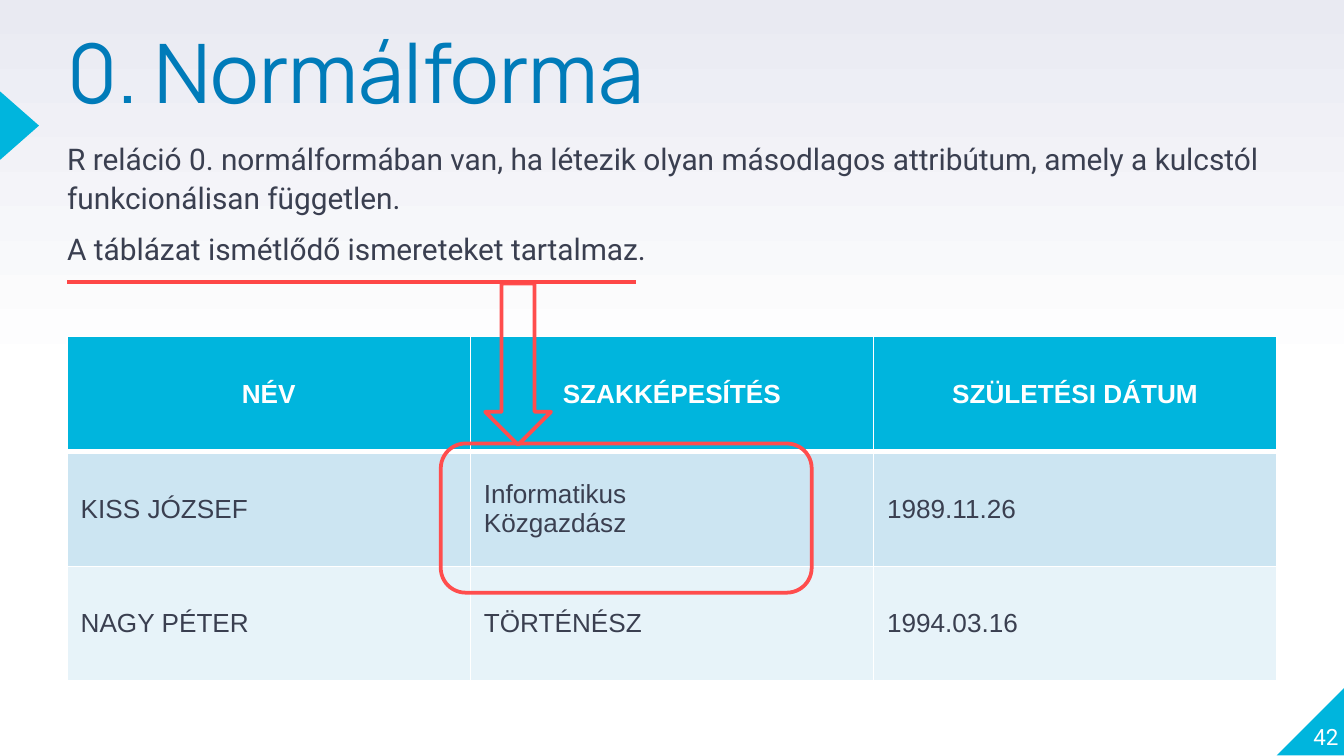
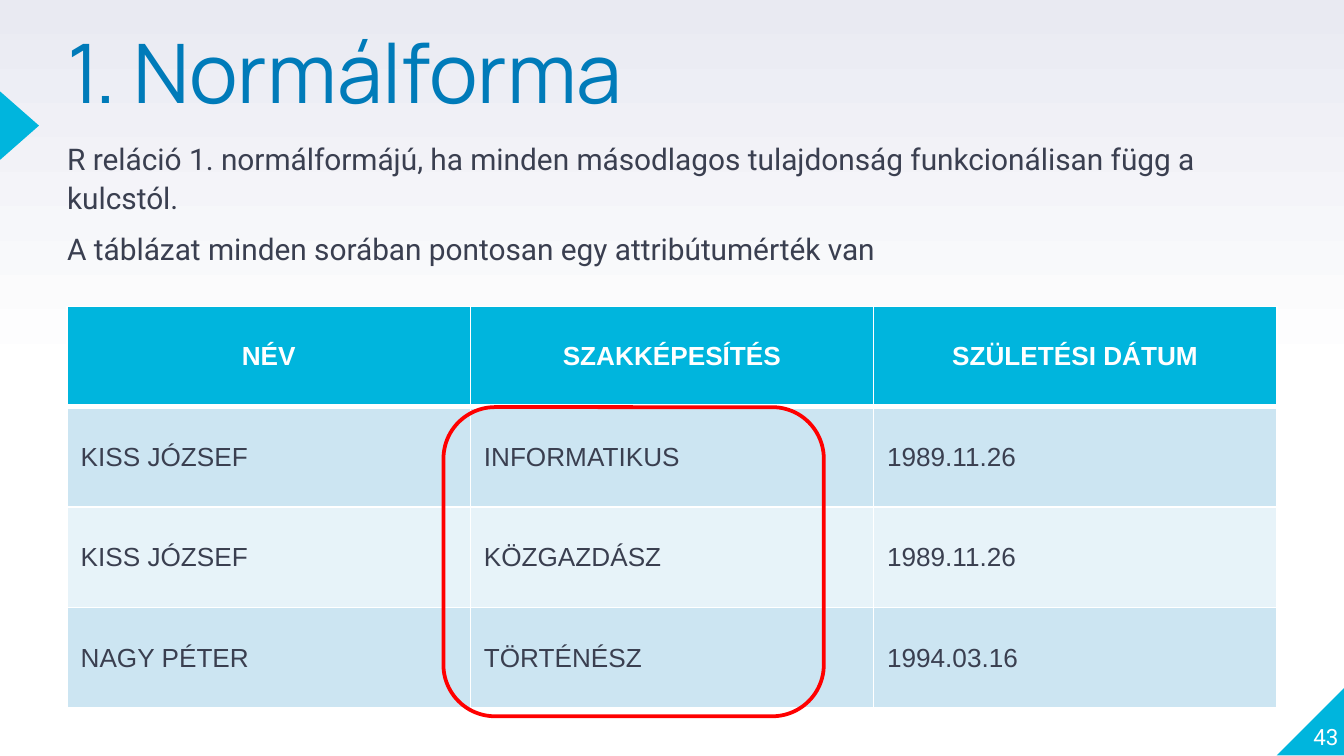
import dataclasses
import copy
import lxml.etree
import pptx
import pptx.dml.color
import pptx.enum.shapes
import pptx.enum.text
import pptx.oxml.ns
import pptx.util

PX = 4572
SHAPE = pptx.enum.shapes.MSO_SHAPE
ALIGN = pptx.enum.text.PP_ALIGN
ANCHOR = pptx.enum.text.MSO_ANCHOR
qn = pptx.oxml.ns.qn


@dataclasses.dataclass(frozen=True)
class Theme:
    title: str = "007BB9"
    accent: str = "00B5DD"
    ink: str = "3A3F50"
    white: str = "FFFFFF"
    sky: str = "E9EAF2"
    bands: tuple = ("CCE5F2", "E7F3F9")
    coral: str = "FF4D4D"
    rule: str = "FE4747"
    red: str = "FF0000"
    head_font: str = "Manrope"
    body_font: str = "Roboto"
    cell_font: str = "Arial"
    title_size: int = 44
    body_size: int = 16
    cell_size: int = 14
    page_size: int = 12


THEME = Theme()
HEADER = ("NÉV", "SZAKKÉPESÍTÉS", "SZÜLETÉSI DÁTUM")

SLIDES = [
    {
        "title": "0. Normálforma",
        "page": "42",
        "body": [
            "R reláció 0. normálformában van, ha létezik olyan másodlagos attribútum, amely a kulcstól funkcionálisan független.",
            "A táblázat ismétlődő ismereteket tartalmaz.",
        ],
        "rows": [
            ("KISS JÓZSEF", "Informatikus\nKözgazdász", "1989.11.26"),
            ("NAGY PÉTER", "TÖRTÉNÉSZ", "1994.03.16"),
        ],
        "table": (100, 501, 1800, 513),
        "marks": [
            (SHAPE.ROUNDED_RECTANGLE, (656, 660, 552, 222), THEME.coral),
            (SHAPE.DOWN_ARROW, (722, 422, 98, 240), THEME.coral),
        ],
        "rules": [((100, 420), (946, 420))],
    },
    {
        "title": "1. Normálforma",
        "page": "43",
        "body": [
            "R reláció 1. normálformájú, ha minden másodlagos tulajdonság funkcionálisan függ a kulcstól.",
            "A táblázat minden sorában pontosan egy attribútumérték van",
        ],
        "rows": [
            ("KISS JÓZSEF", "INFORMATIKUS", "1989.11.26"),
            ("KISS JÓZSEF", "KÖZGAZDÁSZ", "1989.11.26"),
            ("NAGY PÉTER", "TÖRTÉNÉSZ", "1994.03.16"),
        ],
        "table": (100, 456, 1800, 598),
        "marks": [(SHAPE.ROUNDED_RECTANGLE, (660, 606, 566, 460), THEME.red)],
        "rules": [],
    },
]


def emu(box):
    return [round(n * PX) for n in box]


def rgb(code):
    return pptx.dml.color.RGBColor.from_string(code)


def style(para, face, size, color, align=ALIGN.LEFT, bold=False):
    para.alignment = align
    font = para.font
    font.name, font.size, font.bold = face, pptx.util.Pt(size), bold
    font.color.rgb = rgb(color)


def fit(frame, anchor=ANCHOR.TOP):
    frame.word_wrap = True
    frame.auto_size = pptx.enum.text.MSO_AUTO_SIZE.NONE
    frame.vertical_anchor = anchor
    frame.margin_left = frame.margin_right = 0
    frame.margin_top = frame.margin_bottom = 0


def paint(master):
    fill = master.background.fill
    fill.gradient()
    fill.gradient_angle = 90
    first, last = fill.gradient_stops
    first.color.rgb, first.position = rgb(THEME.white), 0
    last.color.rgb, last.position = rgb(THEME.sky), 1
    stop = master.element.find(".//" + qn("p:bg")).find(".//" + qn("a:gs"))
    mid = copy.deepcopy(stop)
    mid.set("pos", "50000")
    stop.addnext(mid)


def add_shape(slide, kind, box, fill=None, line=None):
    shape = slide.shapes.add_shape(kind, *emu(box))
    shape.shadow.inherit = False
    if fill:
        shape.fill.solid()
        shape.fill.fore_color.rgb = rgb(fill)
    else:
        shape.fill.background()
    if line:
        shape.line.color.rgb = rgb(line)
        shape.line.width = pptx.util.Pt(2)
    else:
        shape.line.fill.background()
    return shape


def add_text(slide, box, lines, anchor=ANCHOR.TOP):
    frame = slide.shapes.add_textbox(*emu(box)).text_frame
    fit(frame, anchor)
    frame.text = "\n".join(lines)
    return frame.paragraphs


def add_frame(slide, title, page):
    corner = add_shape(slide, SHAPE.RIGHT_TRIANGLE, (1900, 1022, 102, 102), THEME.accent)
    corner.element.spPr.find(qn("a:xfrm")).set("flipH", "1")
    wedge = add_shape(slide, SHAPE.ISOSCELES_TRIANGLE, (-22, 158, 102, 58), THEME.accent)
    wedge.rotation = 90

    head = slide.shapes.title
    head.left, head.top, head.width, head.height = emu((100, 60, 1900, 236))
    head.text = title
    fit(head.text_frame)
    para = head.text_frame.paragraphs[0]
    para.line_spacing = 0.8
    style(para, THEME.head_font, THEME.title_size, THEME.title)

    para, = add_text(slide, (1892, 1014, 100, 102), [page], ANCHOR.BOTTOM)
    style(para, THEME.body_font, THEME.page_size, THEME.white, ALIGN.RIGHT)


def add_body(slide, lines):
    for para in add_text(slide, (100, 204, 1800, 154), lines):
        para.line_spacing = 1.1
        para.space_before = pptx.util.Pt(6)
        style(para, THEME.body_font, THEME.body_size, THEME.ink)


def edge(cell, top, bottom):
    props = cell._tc.get_or_add_tcPr()
    sides = {"lnL": 1, "lnR": 1, "lnT": top, "lnB": bottom}
    for spot, (side, width) in enumerate(sides.items()):
        line = lxml.etree.Element(qn("a:" + side), w=str(pptx.util.Pt(width)))
        fill = lxml.etree.SubElement(line, qn("a:solidFill"))
        lxml.etree.SubElement(fill, qn("a:srgbClr"), val=THEME.white)
        props.insert(spot, line)


def add_grid(slide, rows, box):
    rows = [HEADER, *rows]
    table = slide.shapes.add_table(len(rows), len(HEADER), *emu(box)).table
    for row in table.rows:
        row.height = round(box[3] * PX / len(rows))
    for r, row in enumerate(rows):
        head = r == 0
        for c, text in enumerate(row):
            cell = table.cell(r, c)
            cell.text = text
            cell.vertical_anchor = ANCHOR.MIDDLE
            cell.fill.solid()
            cell.fill.fore_color.rgb = rgb(THEME.accent if head else THEME.bands[(r - 1) % 2])
            edge(cell, 3 if r == 1 else 1, 3 if head else 1)
            for para in cell.text_frame.paragraphs:
                style(para, THEME.cell_font, THEME.cell_size,
                      THEME.white if head else THEME.ink,
                      ALIGN.CENTER if head else ALIGN.LEFT, head)


def add_rule(slide, start, end):
    kind = pptx.enum.shapes.MSO_CONNECTOR.STRAIGHT
    rule = slide.shapes.add_connector(kind, *emu((*start, *end)))
    rule.line.color.rgb = rgb(THEME.rule)
    rule.line.width = pptx.util.Pt(2.25)
    lxml.etree.SubElement(rule.element.spPr, qn("a:effectLst"))


def main():
    deck = pptx.Presentation()
    deck.slide_width, deck.slide_height = emu((2000, 1125))
    paint(deck.slide_master)
    for data in SLIDES:
        slide = deck.slides.add_slide(deck.slide_layouts[5])
        add_frame(slide, data["title"], data["page"])
        add_body(slide, data["body"])
        add_grid(slide, data["rows"], data["table"])
        for kind, box, color in data["marks"]:
            add_shape(slide, kind, box, line=color)
        for start, end in data["rules"]:
            add_rule(slide, start, end)
    deck.save("out.pptx")


if __name__ == "__main__":
    main()
